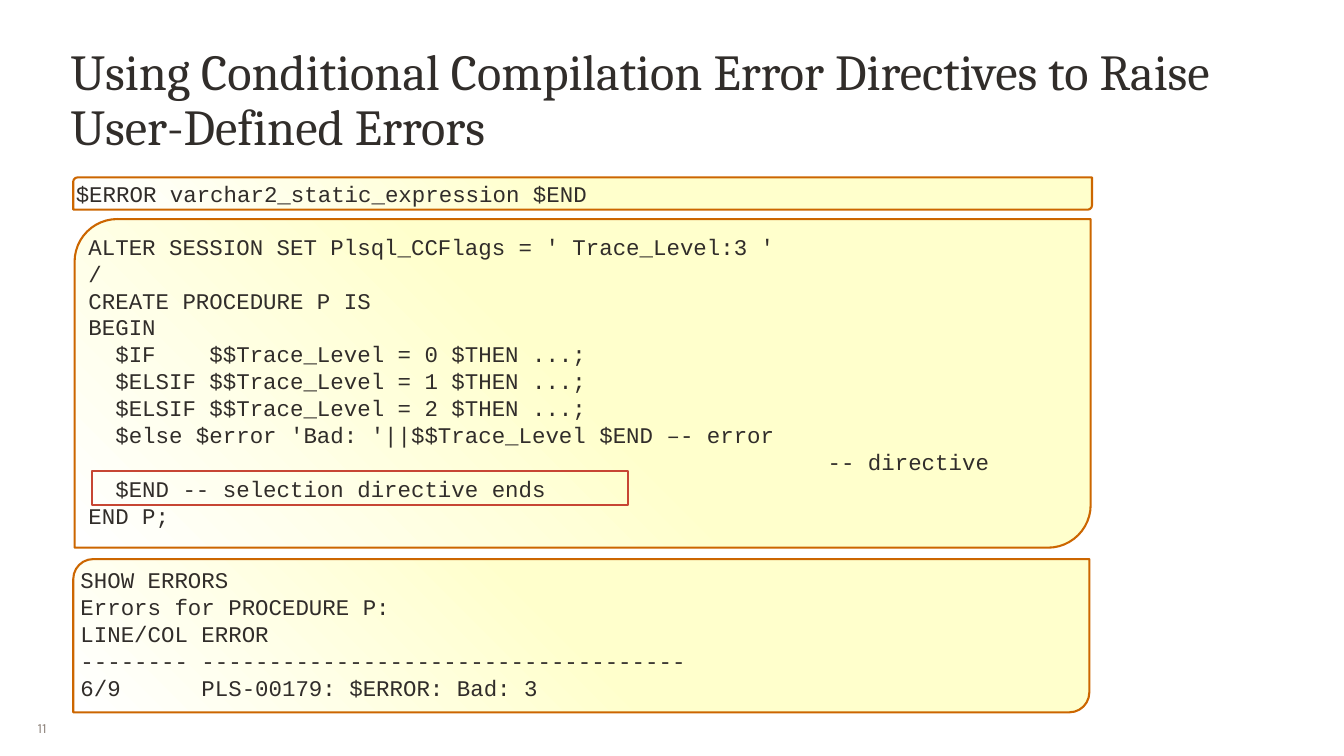
import copy

import pptx
import pptx.dml.color
import pptx.enum.shapes
import pptx.enum.text
import pptx.oxml.ns
import pptx.util
from pptx.util import Inches

TEXT_COLOR = pptx.dml.color.RGBColor(0x31, 0x2D, 0x2A)
NUMBER_COLOR = pptx.dml.color.RGBColor(0x8B, 0x80, 0x78)
BOX_LINE = pptx.dml.color.RGBColor(0xCC, 0x66, 0x00)
HIGHLIGHT_LINE = pptx.dml.color.RGBColor(0xC7, 0x46, 0x34)
PALE_YELLOW = pptx.dml.color.RGBColor(0xFF, 0xFF, 0xCC)
WHITE = pptx.dml.color.RGBColor(0xFF, 0xFF, 0xFF)

SYNTAX = "$ERROR varchar2_static_expression $END"
PROCEDURE = """ALTER SESSION SET Plsql_CCFlags = ' Trace_Level:3 '
/
CREATE PROCEDURE P IS
BEGIN
  $IF    $$Trace_Level = 0 $THEN ...;
  $ELSIF $$Trace_Level = 1 $THEN ...;
  $ELSIF $$Trace_Level = 2 $THEN ...;
  $else $error 'Bad: '||$$Trace_Level $END –- error
  -- directive
  $END -- selection directive ends
END P;"""
ERRORS = """SHOW ERRORS
Errors for PROCEDURE P:
LINE/COL ERROR
-------- ------------------------------------
6/9      PLS-00179: $ERROR: Bad: 3"""


def format_text(text_frame, font_name, size, color, margins):
    """Left-align the text and set its font and its (horizontal, vertical) margins."""
    text_frame.margin_left = text_frame.margin_right = Inches(margins[0])
    text_frame.margin_top = text_frame.margin_bottom = Inches(margins[1])
    for paragraph in text_frame.paragraphs:
        paragraph.alignment = pptx.enum.text.PP_ALIGN.LEFT
        for run in paragraph.runs:
            run.font.name = font_name
            run.font.size = pptx.util.Pt(size)
            run.font.color.rgb = color


def fill_with_gradient(shape):
    """Fade from yellow at the top right, through a yellow middle, to white."""
    shape.fill.gradient()
    shape.fill.gradient_angle = 225
    first_stop = shape._element.spPr.find(".//" + pptx.oxml.ns.qn("a:gs"))
    first_stop.addnext(copy.deepcopy(first_stop))
    stops = zip(shape.fill.gradient_stops, (0, 0.5, 1), (PALE_YELLOW, PALE_YELLOW, WHITE))
    for stop, position, color in stops:
        stop.position = position
        stop.color.rgb = color


presentation = pptx.Presentation()
presentation.slide_width = Inches(20)
presentation.slide_height = Inches(11.25)
slide = presentation.slides.add_slide(presentation.slide_layouts[5])

title = slide.shapes.title
title.left, title.top = Inches(1.02), Inches(0.67)
title.width, title.height = Inches(17.96), Inches(1.28)
title.text_frame.text = (
    "Using Conditional Compilation Error Directives to Raise User-Defined Errors"
)
title.text_frame.vertical_anchor = pptx.enum.text.MSO_ANCHOR.TOP
title.text_frame.auto_size = pptx.enum.text.MSO_AUTO_SIZE.NONE
title.text_frame.paragraphs[0].line_spacing = 0.9
format_text(title.text_frame, "Cambria", 54, TEXT_COLOR, (0.03, 0.03))

code_boxes = [
    (1.09, 2.64, 15.16, 0.48, SYNTAX),
    (1.11, 3.26, 15.12, 4.89, PROCEDURE),
    (1.09, 8.32, 15.12, 2.28, ERRORS),
]
for left, top, width, height, code in code_boxes:
    box = slide.shapes.add_shape(
        pptx.enum.shapes.MSO_SHAPE.ROUND_2_DIAG_RECTANGLE,
        Inches(left), Inches(top), Inches(width), Inches(height),
    )
    box.adjustments[0] = 0.13
    box.shadow.inherit = False
    fill_with_gradient(box)
    box.line.color.rgb = BOX_LINE
    box.line.width = pptx.util.Pt(2.25)
    box.text_frame.text = code
    box.text_frame.word_wrap = True
    box.text_frame.auto_size = pptx.enum.text.MSO_AUTO_SIZE.SHAPE_TO_FIT_TEXT
    box.text_frame.vertical_anchor = pptx.enum.text.MSO_ANCHOR.TOP
    format_text(box.text_frame, "Courier New", 24, TEXT_COLOR, (0.02, 0.02))
    for paragraph in box.text_frame.paragraphs:
        if paragraph.text.strip() == "-- directive":
            properties = paragraph._p.get_or_add_pPr()
            properties.set("marL", str(Inches(10.6)))
            properties.set("indent", "0")

highlight = slide.shapes.add_shape(
    pptx.enum.shapes.MSO_SHAPE.RECTANGLE,
    Inches(1.37), Inches(7.01), Inches(7.98), Inches(0.5),
)
highlight.shadow.inherit = False
highlight.fill.background()
highlight.line.color.rgb = HIGHLIGHT_LINE
highlight.line.width = pptx.util.Pt(2.25)

slide_number = slide.shapes.add_textbox(
    Inches(0.43), Inches(10.54), Inches(0.65), Inches(0.58)
)
slide_number.text_frame.text = "11"
slide_number.text_frame.word_wrap = True
slide_number.text_frame.vertical_anchor = pptx.enum.text.MSO_ANCHOR.MIDDLE
format_text(slide_number.text_frame, "Karla", 15, NUMBER_COLOR, (0.13, 0.07))

presentation.save("out.pptx")
